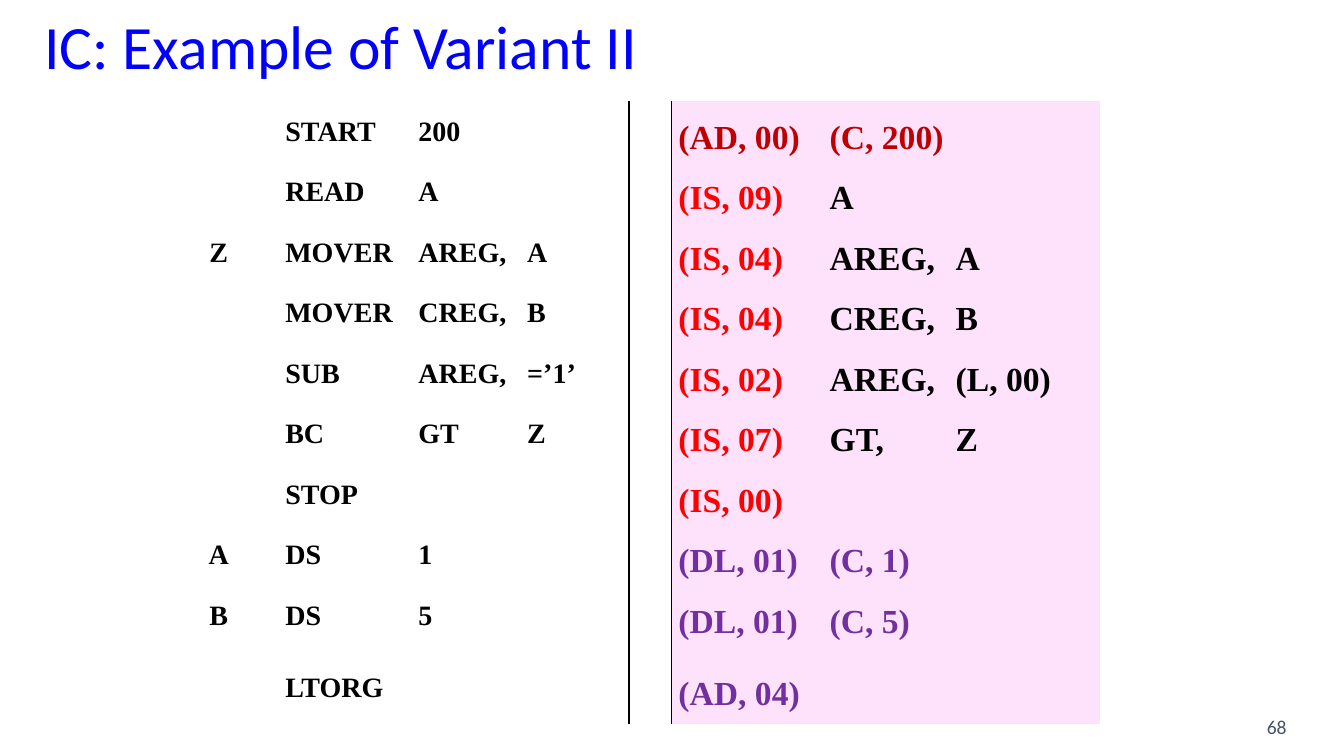
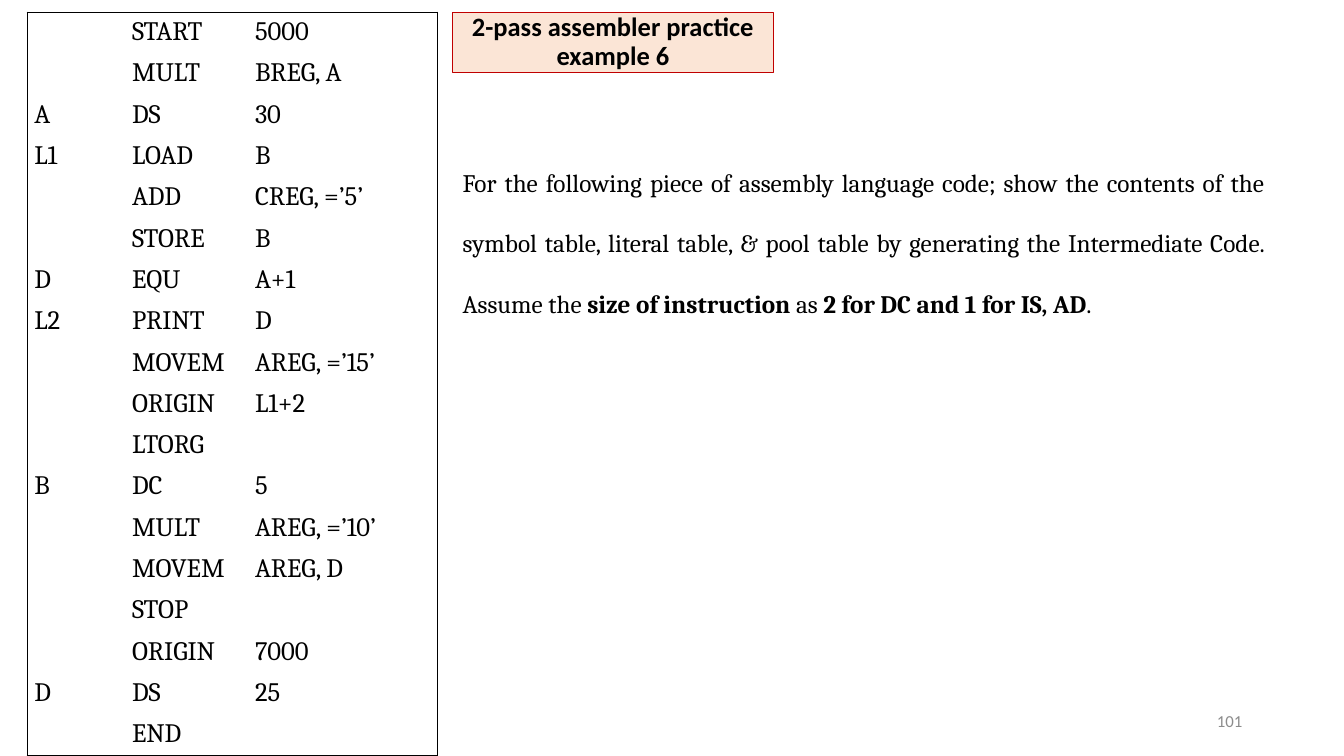
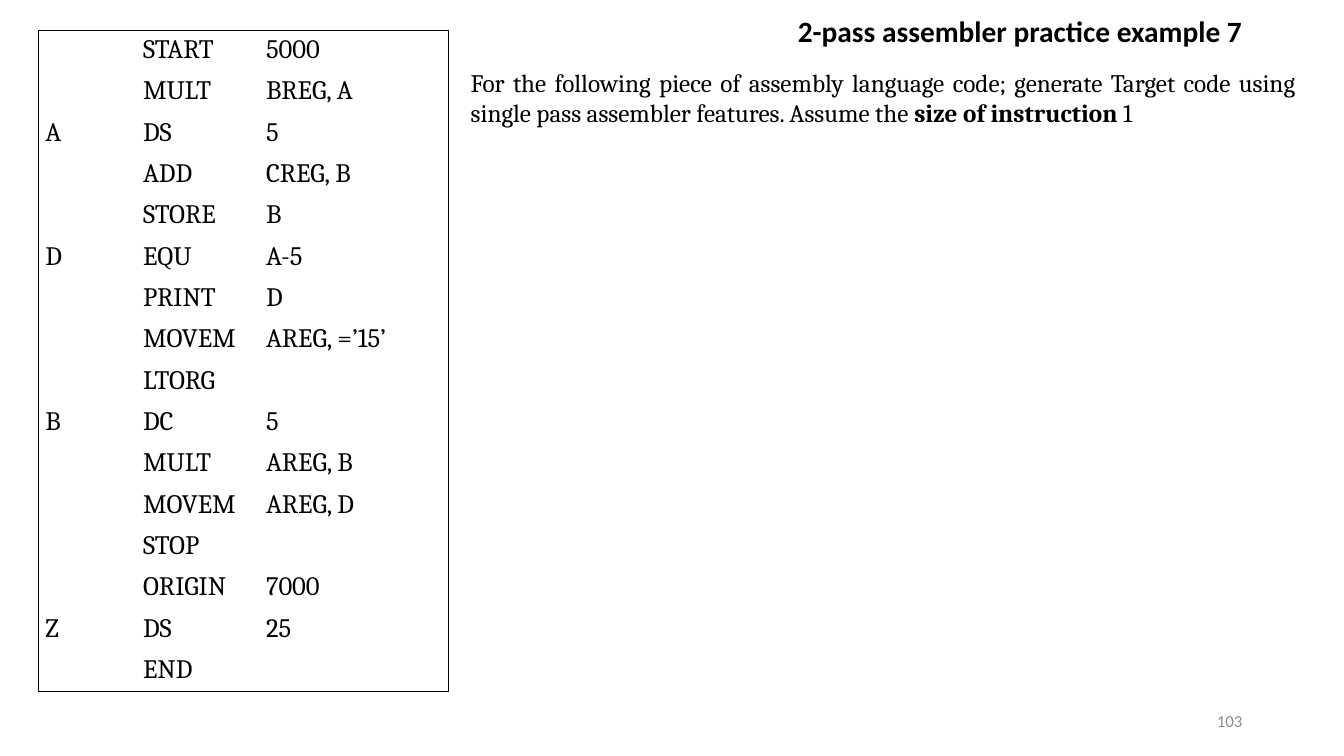
from lxml import etree
from pptx import Presentation
from pptx.dml.color import RGBColor
from pptx.enum.shapes import MSO_SHAPE
from pptx.enum.text import MSO_ANCHOR, PP_ALIGN
from pptx.oxml.ns import qn
from pptx.util import Inches, Pt

COLORS = {
    "black": "000000", "blue": "0000FF", "slate": "44546A", "gray": "8C8C8C",
    "brick": "C00000", "red": "FF0000", "purple": "7030A0",
    "pink": "FEE2FC", "peach": "FBE5D6",
}
SANS, SERIF, TIMES = "Calibri", "Cambria", "Times New Roman"
PLAIN_STYLE = "{2D5ABB26-0587-4C30-8999-92F81FD0307C}"

# Label | operation | operands || code | operands, with the code's colour
VARIANT = [
    ("|START|200|||(AD, 00)|(C, 200)|", "brick", "brick"),
    ("|READ|A|||(IS, 09)|A|", "red", "black"),
    ("Z|MOVER|AREG,|A||(IS, 04)|AREG,|A", "red", "black"),
    ("|MOVER|CREG,|B||(IS, 04)|CREG,|B", "red", "black"),
    ("|SUB|AREG,|=’1’||(IS, 02)|AREG,|(L, 00)", "red", "black"),
    ("|BC|GT|Z||(IS, 07)|GT,|Z", "red", "black"),
    ("|STOP||||(IS, 00)||", "red", "black"),
    ("A|DS|1|||(DL, 01)|(C, 1)|", "purple", "purple"),
    ("B|DS|5|||(DL, 01)|(C, 5)|", "purple", "purple"),
    ("|LTORG||||(AD, 04)||", "purple", "purple"),
]
VARIANT_COLS = [1.18, 1.32, 1.08, 1.08, 0.42, 1.5, 1.25, 1.5]
VARIANT_ROWS = [0.58] * 5 + [0.55, 0.56, 0.56, 0.71, 0.67]

PROGRAM_6 = [
    "|START|5000", "|MULT|BREG, A", "A|DS|30", "L1|LOAD|B", "|ADD|CREG, =’5’",
    "|STORE|B", "D|EQU|A+1", "L2|PRINT|D", "|MOVEM|AREG, =’15’",
    "|ORIGIN|L1+2", "|LTORG|", "B|DC|5", "|MULT|AREG, =’10’",
    "|MOVEM|AREG, D", "|STOP|", "|ORIGIN|7000", "D|DS|25", "|END|",
]
PROGRAM_7 = [
    "|START|5000", "|MULT|BREG, A", "A|DS|5", "|ADD|CREG, B", "|STORE|B",
    "D|EQU|A-5", "|PRINT|D", "|MOVEM|AREG, =’15’", "|LTORG|", "B|DC|5",
    "|MULT|AREG, B", "|MOVEM|AREG, D", "|STOP|", "|ORIGIN|7000", "Z|DS|25",
    "|END|",
]
PROGRAM_COLS = [0.97, 1.22, 1.88]
PROGRAM_ROW = 0.41

TASK_6 = [
    ("For the following piece of assembly language code; show the contents of "
     "the symbol table, literal table, & pool table by generating the "
     "Intermediate Code. Assume the ", False),
    ("size of instruction", True), (" as", False),
    (" 2 for DC and 1 for IS, AD", True), (".", False),
]
TASK_7 = [
    ("For the following piece of assembly language code; generate Target code "
     "using single pass assembler features. Assume the ", False),
    ("size of instruction", True), (" 1", False),
]


def color(name):
    return RGBColor.from_string(COLORS[name])


def write(frame, runs, size, font, ink="black", align=PP_ALIGN.LEFT, spacing=1.0):
    """Fill the first paragraph with (text, bold) runs."""
    para = frame.paragraphs[0]
    para.alignment = align
    para.line_spacing = spacing
    for text, bold in runs:
        run = para.add_run()
        run.text = text
        run.font.size = Pt(size)
        run.font.name = font
        run.font.bold = bold
        run.font.color.rgb = color(ink)


def add_text(slide, box, runs, size, font, anchor=MSO_ANCHOR.MIDDLE, **look):
    shape = slide.shapes.add_textbox(*map(Inches, box))
    frame = shape.text_frame
    frame.word_wrap = True
    frame.vertical_anchor = anchor
    write(frame, runs, size, font, **look)


def add_title(slide, box, text, size, bold=True, **look):
    add_text(slide, box, [(text, bold)], size, SANS, spacing=0.9, **look)


def add_number(slide, box, number, size, ink):
    add_text(slide, box, [(number, False)], size, SANS, ink=ink, align=PP_ALIGN.RIGHT)


def add_task(slide, box, runs, spacing):
    add_text(slide, box, runs, 18, SERIF, anchor=MSO_ANCHOR.TOP,
             align=PP_ALIGN.JUSTIFY, spacing=spacing)


def add_badge(slide, box, text):
    """Title in a filled frame."""
    badge = slide.shapes.add_shape(MSO_SHAPE.RECTANGLE, *map(Inches, box))
    badge.shadow.inherit = False
    badge.fill.solid()
    badge.fill.fore_color.rgb = color("peach")
    badge.line.color.rgb = color("brick")
    badge.line.width = Pt(0.75)
    frame = badge.text_frame
    frame.word_wrap = True
    frame.vertical_anchor = MSO_ANCHOR.MIDDLE
    write(frame, [(text, True)], 18.9, SANS, align=PP_ALIGN.CENTER, spacing=0.9)


def add_grid(slide, left, top, cols, rows):
    """Plain table without fills or rules."""
    box = map(Inches, (left, top, sum(cols), sum(rows)))
    table = slide.shapes.add_table(len(rows), len(cols), *box).table
    table.first_row = table.horz_banding = False
    table._tbl.tblPr.find(qn("a:tableStyleId")).text = PLAIN_STYLE
    for col, width in zip(table.columns, cols):
        col.width = Inches(width)
    for row, height in zip(table.rows, rows):
        row.height = Inches(height)
    for cell in table.iter_cells():
        cell.margin_left = cell.margin_right = Inches(0.07)
        cell.margin_top = cell.margin_bottom = 0
    return table


def add_rules(cell, sides):
    """Black rules on the given sides, in the order L, R, T, B."""
    props = cell._tc.get_or_add_tcPr()
    for side in sides:
        line = etree.SubElement(props, qn("a:ln" + side), w=str(Pt(1)))
        fill = etree.SubElement(line, qn("a:solidFill"))
        etree.SubElement(fill, qn("a:srgbClr"), val=COLORS["black"])


def add_variant(slide, left, top):
    """Source code on the left, intermediate code on pink."""
    table = add_grid(slide, left, top, VARIANT_COLS, VARIANT_ROWS)
    for r, (line, code_ink, arg_ink) in enumerate(VARIANT):
        texts = line.split("|")
        inks = ["black"] * 5 + [code_ink, arg_ink, arg_ink]
        if texts[6] and not texts[7]:
            table.cell(r, 6).merge(table.cell(r, 7))
        for c, text in enumerate(texts):
            cell = table.cell(r, c)
            add_rules(cell, {3: "R", 4: "L"}.get(c, ""))
            if c >= 5:
                cell.fill.solid()
                cell.fill.fore_color.rgb = color("pink")
            if text:
                write(cell.text_frame, [(text, True)], 24 if c >= 5 else 20, TIMES,
                      ink=inks[c], spacing=1.5,
                      align=PP_ALIGN.LEFT if c else PP_ALIGN.CENTER)


def add_program(slide, left, top, lines):
    """Assembly listing inside one outer frame."""
    table = add_grid(slide, left, top, PROGRAM_COLS, [PROGRAM_ROW] * len(lines))
    for r, line in enumerate(lines):
        for c, text in enumerate(line.split("|")):
            cell = table.cell(r, c)
            edges = {"L": c == 0, "R": c == len(PROGRAM_COLS) - 1,
                     "T": r == 0, "B": r == len(lines) - 1}
            add_rules(cell, [side for side, outer in edges.items() if outer])
            if text:
                write(cell.text_frame, [(text, False)], 19, SERIF, spacing=1.15)


def main():
    deck = Presentation()
    deck.slide_width, deck.slide_height = Inches(13.33), Inches(7.5)
    variant, six, seven = [deck.slides.add_slide(deck.slide_layouts[6])
                           for _ in range(3)]
    corner = (9.42, 6.95, 3, 0.4)

    # Variant II
    add_number(variant, (10.69, 7.01, 2.17, 0.4), "68", 14, "slate")
    add_variant(variant, 1.58, 1)
    add_title(variant, (0.34, 0.08, 8.5, 0.83), "IC: Example of Variant II", 44,
              bold=False, ink="blue")

    # Practice example 6
    add_badge(six, (4.49, 0.12, 3.18, 0.6), "2-pass assembler practice example 6")
    add_number(six, corner, "101", 12, "gray")
    add_task(six, (4.49, 1.31, 8.15, 1.83), TASK_6, 2.0)
    add_program(six, 0.27, 0.12, PROGRAM_6)

    # Practice example 7
    add_title(seven, (0.92, 0.03, 11.5, 0.6), "2-pass assembler practice example 7",
              21, align=PP_ALIGN.RIGHT)
    add_number(seven, corner, "103", 12, "gray")
    add_task(seven, (4.57, 0.62, 8.38, 0.71), TASK_7, 1.0)
    add_program(seven, 0.38, 0.3, PROGRAM_7)

    deck.save("out.pptx")


if __name__ == "__main__":
    main()
